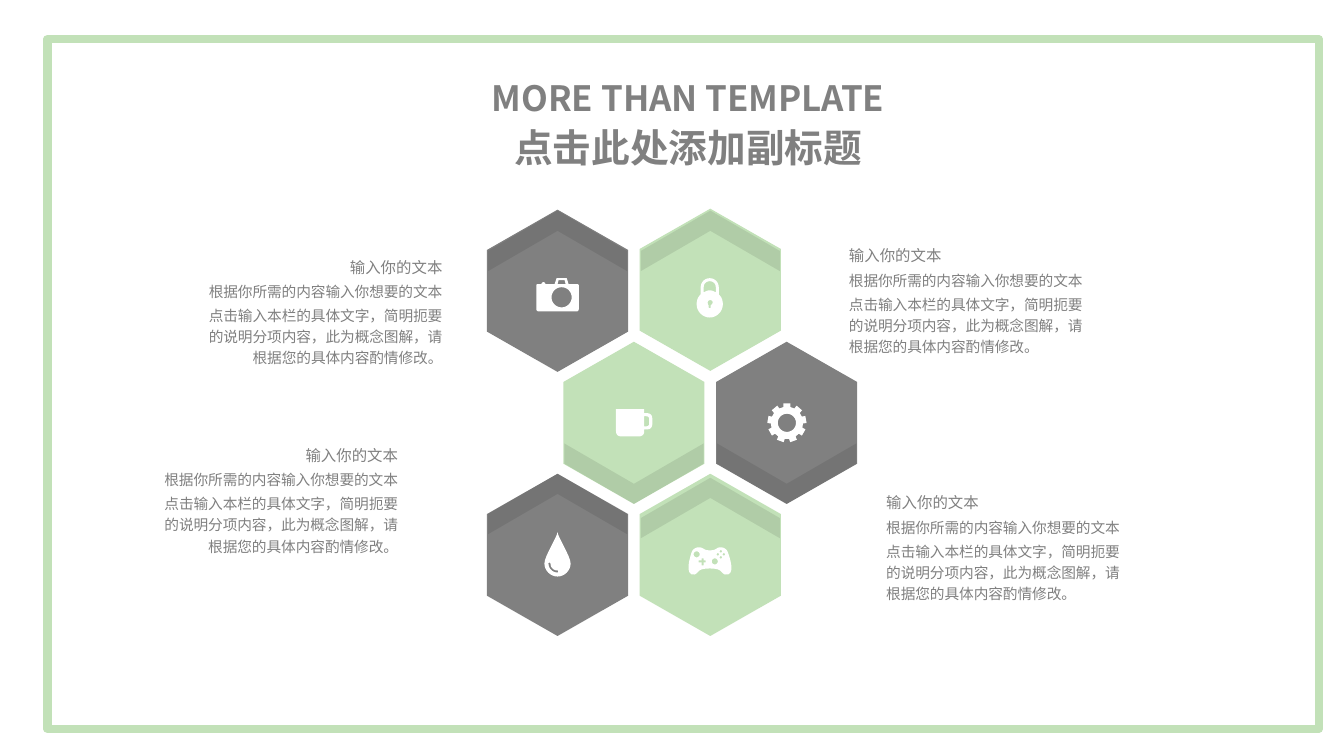
from dataclasses import dataclass
from math import cos, radians, sin

from lxml.etree import SubElement
from pptx import Presentation
from pptx.dml.color import RGBColor
from pptx.enum.shapes import MSO_SHAPE as Shape
from pptx.enum.text import MSO_ANCHOR as Anchor, PP_ALIGN as Align
from pptx.oxml.ns import qn
from pptx.util import Inches, Pt

GREY, GREEN, WHITE, BLACK = "808080", "C2E1B8", "FFFFFF", "000000"
COLUMN, ROW = 1.515, 1.31  # honeycomb pitch
HALF_WIDTH, HEX_HEIGHT, SHOULDER = 0.7, 1.61, 0.4

# A contour holds points (x, y) and cubic curves (x1, y1, x2, y2, x, y).
Contour = list[tuple[float, ...]]


@dataclass
class Cell:
    column: float
    row: int
    color: str
    shade_up: bool
    icon: list[Contour]
    icon_left: float
    icon_top: float
    nudge: float = 0
    shade_gap: float = 0


@dataclass
class Note:
    left: float
    top: float
    align: Align


def circle(x: float, y: float, radius: float) -> Contour:
    angles = [radians(step * 10) for step in range(36)]
    return [(x + radius * cos(a), y + radius * sin(a)) for a in angles]


def gear_rim(center: float, teeth: int) -> Contour:
    corners = [(-12.5, 16), (-10.5, 19.5), (10.5, 19.5), (12.5, 16)]
    rim: Contour = []
    for tooth in range(teeth):
        for offset, radius in corners:
            angle = radians(360 / teeth * tooth - 90 + offset)
            rim.append((center + radius * cos(angle), center + radius * sin(angle)))
    return rim


def flatten(contour: Contour, steps: int = 8) -> Contour:
    points = [contour[0]]
    for part in contour[1:]:
        if len(part) == 2:
            points.append(part)
            continue
        x0, y0 = points[-1]
        x1, y1, x2, y2, x3, y3 = part
        for step in range(1, steps + 1):
            t = step / steps
            u = 1 - t
            a, b, c, d = u**3, 3 * u * u * t, 3 * u * t * t, t**3
            points.append((a * x0 + b * x1 + c * x2 + d * x3,
                           a * y0 + b * y1 + c * y2 + d * y3))
    return points


def paint(shape, color: str) -> None:
    shape.shadow.inherit = False
    shape.fill.solid()
    shape.fill.fore_color.rgb = RGBColor.from_string(color)
    shape.line.fill.background()


def draw_outline(shapes, contours: list[Contour], left: float, top: float,
                 color: str, unit: float = 1):
    builder = None
    for contour in contours:
        points = [(Inches(left + x * unit), Inches(top + y * unit))
                  for x, y in flatten(contour)]
        if builder is None:
            builder = shapes.build_freeform(*points[0])
        else:
            builder.move_to(*points[0])
        builder.add_line_segments(points[1:], close=True)
    shape = builder.convert_to_shape()
    paint(shape, color)
    return shape


def cell_position(cell: Cell) -> tuple[float, float]:
    return 5.53 + cell.column * COLUMN, 2.08 + cell.row * ROW + cell.nudge


def draw_hexagon(shapes, cell: Cell) -> None:
    w, h, s = HALF_WIDTH, HEX_HEIGHT, SHOULDER
    hexagon = [(0, 0), (w, s), (w, h - s), (0, h), (-w, h - s), (-w, s)]
    draw_outline(shapes, [hexagon], *cell_position(cell), cell.color)


def draw_shade(shapes, cell: Cell) -> None:
    x, y = cell_position(cell)
    w = HALF_WIDTH - 0.01
    chevron = [(w, 0.6), (w, 0.4), (0, 0), (-w, 0.4), (-w, 0.6), (0, 0.2)]
    if cell.shade_up:
        y += cell.shade_gap
    else:
        chevron = [(dx, HEX_HEIGHT - dy) for dx, dy in chevron]
    shade = draw_outline(shapes, [chevron], x, y, BLACK)
    tint = shade.fill._xPr.find(qn("a:solidFill"))[0]
    SubElement(tint, qn("a:alpha"), val="9000")


def format_line(paragraph, text: str, size: float, font: str, align: Align,
                spacing: float) -> None:
    paragraph.text = text
    paragraph.alignment = align
    paragraph.line_spacing = spacing
    paragraph.font.size = Pt(size)
    paragraph.font.name = font
    paragraph.font.color.rgb = RGBColor.from_string(GREY)


def draw_note(shapes, note: Note) -> None:
    frame = shapes.add_textbox(Inches(note.left), Inches(note.top),
                               Inches(2.78), Inches(1.3)).text_frame
    frame.word_wrap = True
    frame.margin_left = frame.margin_right = Inches(0.16)
    frame.margin_top = frame.margin_bottom = Inches(0.08)
    for index, (text, size) in enumerate(NOTE_LINES):
        line = frame.add_paragraph() if index else frame.paragraphs[0]
        format_line(line, text, size, "Calibri", note.align, 1.2)
        line.space_before = Pt(size * 0.2)


# Icons, in hundredths of an inch
CAMERA = [
    [(2, 6), (5, 6), (5, 5, 6, 4, 7, 4), (8, 4, 9, 5, 9, 6), (18, 6), (20, 0),
     (29, 0), (30, 0), (32, 6), (40, 6), (41, 6, 42, 6, 42, 7), (42, 31),
     (42, 32, 41, 33, 40, 33), (2, 33), (1, 33, 0, 32, 0, 31), (0, 7),
     (0, 6, 1, 6, 2, 6)],
    circle(25, 19, 10),
    [(22, 2), (28, 2), (29, 6), (21, 6)],
]
LOCK = [
    [(22, 16), (22, 9), (22, 4, 18, 0, 13, 0), (8, 0, 4, 4, 4, 9), (4, 16),
     (1, 19, 0, 22, 0, 26), (0, 33, 6, 39, 13, 39), (20, 39, 26, 33, 26, 26),
     (26, 22, 25, 19, 22, 16)],
    [(19, 14), (17, 13, 15, 12, 13, 12), (11, 12, 9, 13, 7, 14), (7, 9),
     (7, 5, 10, 3, 13, 3), (16, 3, 19, 5, 19, 9)],
    [(14, 27), (14, 29), (14, 30, 12, 30, 12, 29), (12, 27),
     (11, 26, 11, 25, 11, 24), (11, 21, 16, 21, 16, 24), (16, 25, 15, 26, 14, 27)],
]
CUP = [
    [(31, 4), (28, 4), (28, 0), (0, 0), (0, 22), (0, 25, 2, 27, 5, 27), (23, 27),
     (26, 27, 28, 25, 28, 22), (28, 20), (31, 20), (34, 20, 36, 18, 36, 15),
     (36, 9), (36, 6, 34, 4, 31, 4)],
    [(33, 14), (33, 16, 32, 17, 30, 17), (28, 17), (28, 7), (30, 7),
     (32, 7, 33, 8, 33, 10)],
]
GEAR = [gear_rim(19.5, 9), circle(19.5, 19.5, 9)]
DROP = [
    [(13, 0), (13, 4, 0, 24, 0, 31), (0, 38, 6, 44, 13, 44),
     (20, 44, 26, 38, 26, 31), (26, 24, 13, 4, 13, 0)],
    [(13, 40), (8, 40, 4, 36, 4, 31), (4, 30, 6, 30, 6, 31),
     (6, 35, 9, 38, 13, 38), (14, 38, 14, 40, 13, 40)],
]
GAMEPAD = [
    [(39, 5), (38, 2, 35, 0, 32, 0), (27, 0, 28, 3, 22, 3), (20, 3),
     (15, 3, 15, 0, 10, 0), (7, 0, 4, 2, 3, 5), (2, 8, -5, 29, 6, 27),
     (11, 25, 8, 21, 21, 21), (34, 21, 31, 25, 36, 27), (48, 29, 40, 8, 39, 5)],
    *[circle(32 + dx, 7 + dy, 1.2) for dx, dy in [(3, 0), (0, -3), (0, 3), (-3, 0)]],
    circle(26, 14, 3),
    circle(8, 7, 3),
    [(13, 11), (15, 11), (15, 13), (17, 13), (17, 15), (15, 15), (15, 18), (13, 18),
     (13, 15), (10, 15), (10, 13), (13, 13)],
]

CELLS = [
    Cell(0, 0, GREY, True, CAMERA, 5.32, 2.76, shade_gap=0.01),
    Cell(1, 0, GREEN, True, LOCK, 6.91, 2.76, nudge=-0.01, shade_gap=0.02),
    Cell(0.5, 1, GREEN, False, CUP, 6.11, 4.06),
    Cell(1.5, 1, GREY, False, GEAR, 7.61, 4),
    Cell(1, 2, GREEN, True, GAMEPAD, 6.83, 5.43, shade_gap=0.04),
    Cell(0, 2, GREY, True, DROP, 5.4, 5.28),
]
NOTES = [Note(8.63, 4.78, Align.LEFT), Note(8.26, 2.33, Align.LEFT),
         Note(1.33, 4.31, Align.RIGHT), Note(1.77, 2.44, Align.RIGHT)]
NOTE_LINES = [
    ("输入你的文本", 11),
    ("根据你所需的内容输入你想要的文本", 10.5),
    ("点击输入本栏的具体文字，简明扼要的说明分项内容，此为概念图解，请根据您的具体内容酌情修改。", 10.5),
]
TITLE_LINES = [("MORE THAN TEMPLATE", 24.9), ("点击此处添加副标题", 27.6)]


def main() -> None:
    deck = Presentation()
    deck.slide_width, deck.slide_height = Inches(13.33), Inches(7.5)
    shapes = deck.slides.add_slide(deck.slide_layouts[5]).shapes

    # Border, behind everything else
    border = shapes.add_shape(Shape.RECTANGLE, Inches(0.47), Inches(0.39),
                              Inches(12.61), Inches(6.84))
    paint(border, WHITE)
    border.line.color.rgb = RGBColor.from_string(GREEN)
    border.line.width = Pt(6)
    shapes._spTree.insert(2, border._element)

    # Title
    title = shapes.title
    title.left, title.top = Inches(4.62), Inches(0.67)
    title.width, title.height = Inches(4.41), Inches(1.07)
    heading = title.text_frame
    heading.vertical_anchor = Anchor.MIDDLE
    for index, (text, size) in enumerate(TITLE_LINES):
        line = heading.add_paragraph() if index else heading.paragraphs[0]
        format_line(line, text, size, "Noto Sans CJK SC", Align.CENTER, 1.1)
        line.font.bold = True

    # Honeycomb
    for cell in CELLS:
        draw_hexagon(shapes, cell)
    for cell in CELLS:
        draw_shade(shapes, cell)
    for cell in CELLS:
        draw_outline(shapes, cell.icon, cell.icon_left, cell.icon_top, WHITE, 0.01)

    # Notes
    for note in NOTES:
        draw_note(shapes, note)

    deck.save("out.pptx")


if __name__ == "__main__":
    main()
